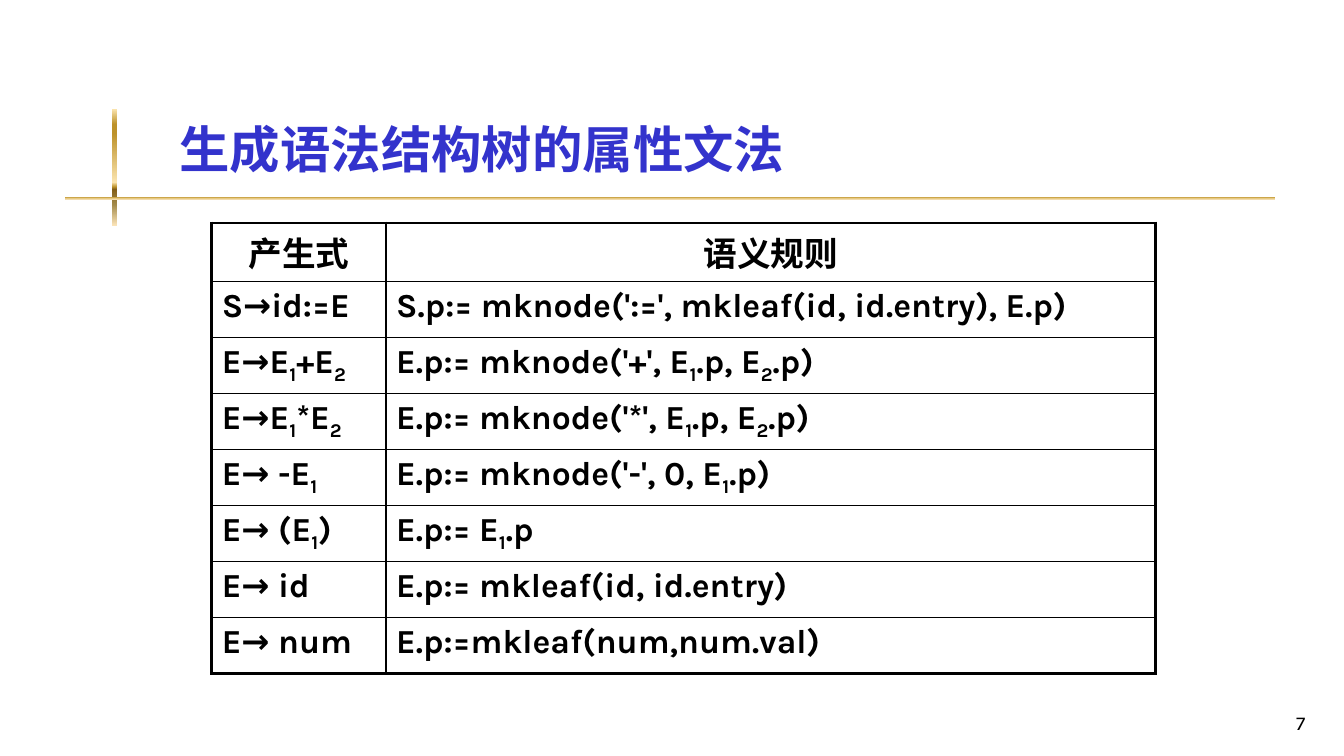
"""Build a slide with a table of grammar rules and their actions."""
import lxml.etree
import pptx
import pptx.dml.color
import pptx.enum.dml
import pptx.enum.shapes
import pptx.enum.text
import pptx.oxml.ns
import pptx.util

Pt = pptx.util.Pt
RGB = pptx.dml.color.RGBColor
ALIGN = pptx.enum.text.PP_ALIGN
ANCHOR = pptx.enum.text.MSO_ANCHOR
qn = pptx.oxml.ns.qn

BLACK = RGB(0x00, 0x00, 0x00)
BLUE = RGB(0x33, 0x33, 0xCC)
CREAM = RGB(0xFB, 0xE4, 0xAE)
GOLD = RGB(0xBD, 0x92, 0x2A)
BROWN = RGB(0x83, 0x5E, 0x17)
TAN = RGB(0xA2, 0x89, 0x49)
SAND = RGB(0xFA, 0xE3, 0xB7)
STOPS = [(0, CREAM), (13, GOLD), (21, GOLD), (63, CREAM),
         (67, GOLD), (69, BROWN), (82, TAN), (100, SAND)]
LATIN = "Karla"
HAN = "Noto Sans CJK JP"
THICK, THIN = 2.25, 1
RULES = [
    ("产生式", "语义规则"),
    ("S→id:=E", "S.p:= mknode(':=', mkleaf(id, id.entry), E.p)"),
    ("E→E_1_+E_2", "E.p:= mknode('+', E_1_.p, E_2_.p)"),
    ("E→E_1_*E_2", "E.p:= mknode('*', E_1_.p, E_2_.p)"),
    ("E→ -E_1", "E.p:= mknode('-', 0, E_1_.p)"),
    ("E→ (E_1_)", "E.p:= E_1_.p"),
    ("E→ id", "E.p:= mkleaf(id, id.entry)"),
    ("E→ num", "E.p:=mkleaf(num,num.val)"),
]


def style(run, size, color, bold, face=LATIN):
    """Set the font of a run for both scripts."""
    font = run.font
    font.size, font.bold, font.name = Pt(size), bold, face
    font.color.rgb = color
    east = lxml.etree.SubElement(font._element, qn("a:ea"))
    east.set("typeface", HAN)


def add_bar(slide, left, top, width, height):
    """Add a gold bar shaded from top to bottom."""
    bar = slide.shapes.add_shape(
        pptx.enum.shapes.MSO_SHAPE.RECTANGLE,
        Pt(left), Pt(top), Pt(width), Pt(height))
    bar.shadow.inherit = False
    bar.line.fill.background()
    bar.fill.gradient()
    bar.fill.gradient_angle = 270
    stops = bar.element.spPr.find(".//" + qn("a:gsLst"))
    for old in list(stops):
        stops.remove(old)
    for place, color in STOPS:
        stop = lxml.etree.SubElement(stops, qn("a:gs"), pos=str(place * 1000))
        lxml.etree.SubElement(stop, qn("a:srgbClr"), val=str(color))


def add_title(slide, text):
    """Place and format the title."""
    title = slide.shapes.title
    title.left, title.top = Pt(121), Pt(16.5)
    title.width, title.height = Pt(818), Pt(115)
    frame = title.text_frame
    frame.text = text
    frame.auto_size = pptx.enum.text.MSO_AUTO_SIZE.NONE
    frame.vertical_anchor = ANCHOR.BOTTOM
    para = frame.paragraphs[0]
    para.alignment = ALIGN.LEFT
    style(para.runs[0], 36, BLUE, True, HAN)


def add_edges(cell, widths):
    """Draw the left, right, top and bottom borders of a cell."""
    props = cell._tc.get_or_add_tcPr()
    for place, (side, width) in enumerate(zip("LRTB", widths)):
        line = lxml.etree.Element(qn("a:ln" + side), w=str(Pt(width)))
        fill = lxml.etree.SubElement(line, qn("a:solidFill"))
        lxml.etree.SubElement(fill, qn("a:srgbClr"), val=str(BLACK))
        props.insert(place, line)


def fill_cell(cell, text, align):
    """Write a cell, lowering the parts between underscores."""
    cell.fill.background()
    para = cell.text_frame.paragraphs[0]
    para.alignment = align
    para.space_before = Pt(4.8)
    for place, part in enumerate(text.split("_")):
        run = para.add_run()
        run.text = part
        style(run, 24, BLACK, True)
        if place % 2:
            run.font._element.set("baseline", "-25000")


def add_rules(slide):
    """Add the table of rules with a thick outer frame."""
    last = len(RULES) - 1
    table = slide.shapes.add_table(
        len(RULES), 2, Pt(151.2), Pt(159.2), Pt(674), Pt(320)).table
    table.first_row = table.horz_banding = False
    table.columns[0].width, table.columns[1].width = Pt(124.6), Pt(549.4)
    for row, texts in enumerate(RULES):
        table.rows[row].height = Pt(40)
        for col, text in enumerate(texts):
            cell = table.cell(row, col)
            fill_cell(cell, text, ALIGN.LEFT if row else ALIGN.CENTER)
            outer = (col == 0, col == 1, row == 0, row == last)
            add_edges(cell, [THICK if edge else THIN for edge in outer])


def add_number(slide, text):
    """Add the page number at the lower right."""
    box = slide.shapes.add_textbox(Pt(739.5), Pt(491.8), Pt(200), Pt(36))
    frame = box.text_frame
    frame.text = text
    frame.word_wrap = True
    frame.vertical_anchor = ANCHOR.BOTTOM
    para = frame.paragraphs[0]
    para.alignment = ALIGN.RIGHT
    style(para.runs[0], 14, BLACK, False)


def main():
    """Build and save the deck."""
    deck = pptx.Presentation()
    deck.slide_width, deck.slide_height = Pt(960), Pt(540)
    slide = deck.slides.add_slide(deck.slide_layouts[5])
    add_bar(slide, 80, 78, 3.6, 83)
    add_bar(slide, 46.8, 140.4, 864, 2.2)
    add_title(slide, "生成语法结构树的属性文法")
    add_rules(slide)
    add_number(slide, "7")
    deck.save("out.pptx")


if __name__ == "__main__":
    main()
